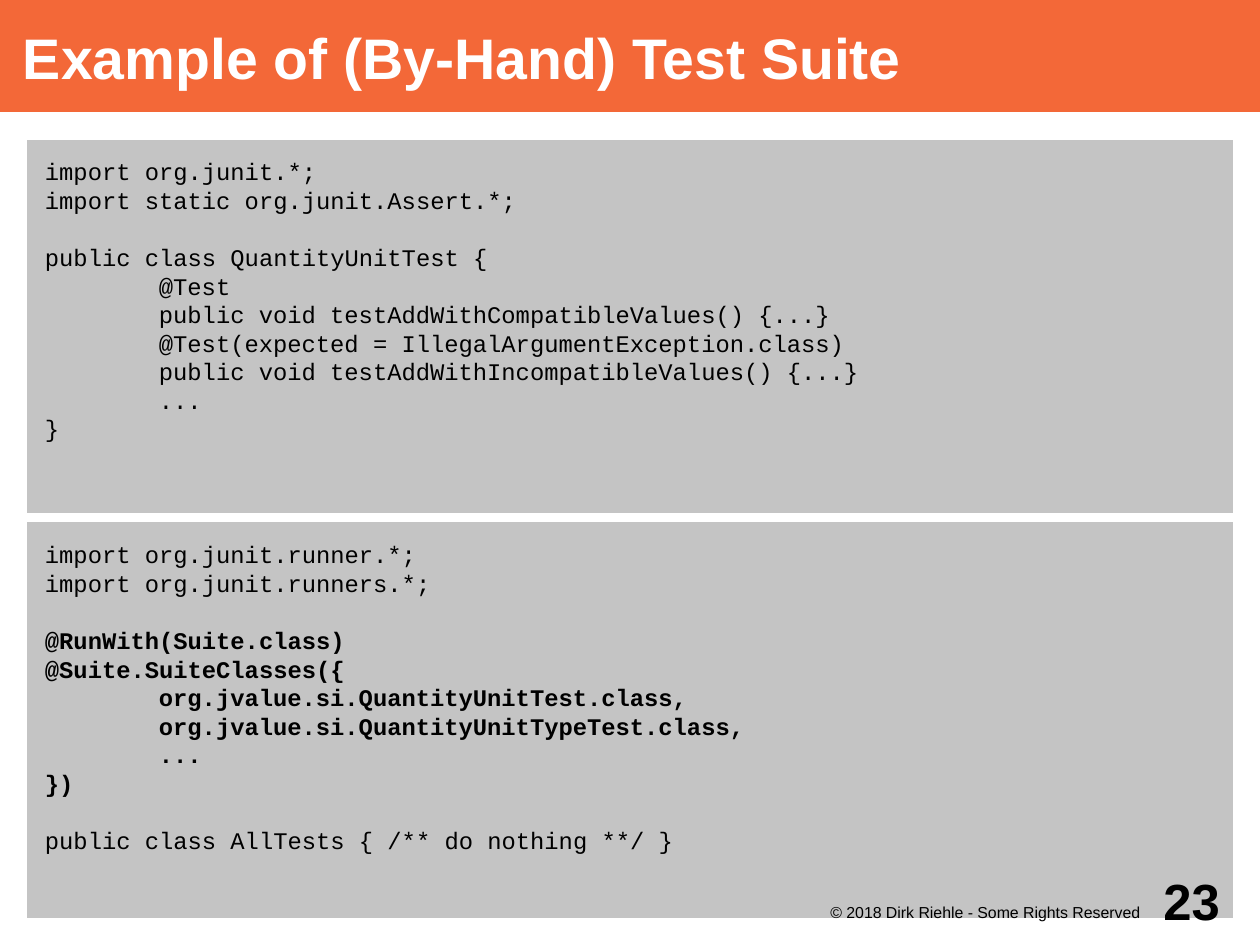
from dataclasses import dataclass

from lxml.etree import SubElement
from pptx import Presentation
from pptx.dml.color import RGBColor as Rgb
from pptx.enum.shapes import MSO_SHAPE as Preset
from pptx.enum.text import MSO_ANCHOR as Anchor, MSO_AUTO_SIZE as AutoSize, PP_ALIGN as Align
from pptx.oxml.ns import qn
from pptx.util import Emu, Pt

PX = 8000
WIDTH, HEIGHT = 1260, 945
CODE_TAB = 114


@dataclass(frozen=True)
class Theme:
    banner: Rgb = Rgb(0xF3, 0x68, 0x38)
    panel: Rgb = Rgb(0xC4, 0xC4, 0xC4)
    white: Rgb = Rgb(0xFF, 0xFF, 0xFF)
    ink: Rgb = Rgb(0, 0, 0)
    sans: str = "Arial"
    mono: str = "Courier New"
    title_size: int = 36
    code_size: int = 15
    code_leading: int = 18
    footer_size: int = 10
    number_size: int = 32
    border: float = 5.67


THEME = Theme()

# Each section is a block of lines and whether it is bold.
TEST_CLASS = [
    ("import org.junit.*;\n"
     "import static org.junit.Assert.*;", False),
    ("public class QuantityUnitTest {\n"
     "\t@Test\n"
     "\tpublic void testAddWithCompatibleValues() {...}\n"
     "\t@Test(expected = IllegalArgumentException.class)\n"
     "\tpublic void testAddWithIncompatibleValues() {...}\n"
     "\t...\n"
     "}", False),
]
TEST_SUITE = [
    ("import org.junit.runner.*;\n"
     "import org.junit.runners.*;", False),
    ("@RunWith(Suite.class)\n"
     "@Suite.SuiteClasses({\n"
     "\torg.jvalue.si.QuantityUnitTest.class,\n"
     "\torg.jvalue.si.QuantityUnitTypeTest.class,\n"
     "\t...\n"
     "})", True),
    ("public class AllTests { /** do nothing **/ }", False),
]


def px(*lengths):
    return [Emu(length * PX) for length in lengths]


def set_frame(frame, insets, anchor=Anchor.TOP):
    """Fix the size of a text frame; insets run left, top, right, bottom."""
    frame.word_wrap = True
    frame.auto_size = AutoSize.NONE
    frame.vertical_anchor = anchor
    (frame.margin_left, frame.margin_top,
     frame.margin_right, frame.margin_bottom) = px(*insets)


def add_tab_stop(paragraph, position):
    stops = SubElement(paragraph._p.get_or_add_pPr(), qn("a:tabLst"))
    SubElement(stops, qn("a:tab"), pos=str(position * PX), algn="l")


def write(paragraph, text, *, size, font=THEME.sans, color=THEME.ink,
          bold=False, align=Align.LEFT, leading=None, before=None, tab=None):
    if tab:
        add_tab_stop(paragraph, tab)
    paragraph.alignment = align
    if leading:
        paragraph.line_spacing = Pt(leading)
    if before:
        paragraph.space_before = Pt(before)
    run = paragraph.add_run()
    run.text = text
    run.font.name = font
    run.font.size = Pt(size)
    run.font.bold = bold
    run.font.color.rgb = color


def add_title(slide, text):
    title = slide.shapes.title
    title.left, title.top, title.width, title.height = px(0, 0, WIDTH, 112)
    title.fill.solid()
    title.fill.fore_color.rgb = THEME.banner
    set_frame(title.text_frame, (23, 2, 0, 0), Anchor.MIDDLE)
    write(title.text_frame.paragraphs[0], text, size=THEME.title_size,
          color=THEME.white, bold=True)


def add_code_panel(slide, top, height, sections):
    """Show code sections one line apart in a bordered panel."""
    panel = slide.shapes.add_shape(Preset.RECTANGLE, *px(23, top, 1215, height))
    panel.shadow.inherit = False
    panel.fill.solid()
    panel.fill.fore_color.rgb = THEME.panel
    panel.line.color.rgb = THEME.white
    panel.line.width = Pt(THEME.border)
    frame = panel.text_frame
    set_frame(frame, (22, 22, 5, 5))
    for section_index, (code, bold) in enumerate(sections):
        for line_index, line in enumerate(code.split("\n")):
            first = section_index == line_index == 0
            starts_section = section_index > 0 and line_index == 0
            write(frame.paragraphs[0] if first else frame.add_paragraph(), line,
                  size=THEME.code_size, font=THEME.mono, bold=bold,
                  leading=THEME.code_leading,
                  before=THEME.code_leading if starts_section else None,
                  tab=CODE_TAB if line.startswith("\t") else None)


def add_label(slide, box, text, insets, anchor=Anchor.TOP, **text_format):
    label = slide.shapes.add_textbox(*px(*box))
    set_frame(label.text_frame, insets, anchor)
    write(label.text_frame.paragraphs[0], text, align=Align.RIGHT, **text_format)


def main():
    deck = Presentation()
    deck.slide_width, deck.slide_height = px(WIDTH, HEIGHT)
    slide = deck.slides.add_slide(deck.slide_layouts.get_by_name("Title Only"))
    add_title(slide, "Example of (By-Hand) Test Suite")
    add_code_panel(slide, 135, 383, TEST_CLASS)
    add_code_panel(slide, 518, 405, TEST_SUITE)
    add_label(slide, (810, 900, 360, 45), "© 2018 Dirk Riehle - Some Rights Reserved",
              (0, 3, 30, 0), size=THEME.footer_size)
    add_label(slide, (1148, 855, 112, 90), "23", (0, 0, 40, 0), Anchor.MIDDLE,
              size=THEME.number_size, bold=True)
    deck.save("out.pptx")


if __name__ == "__main__":
    main()
